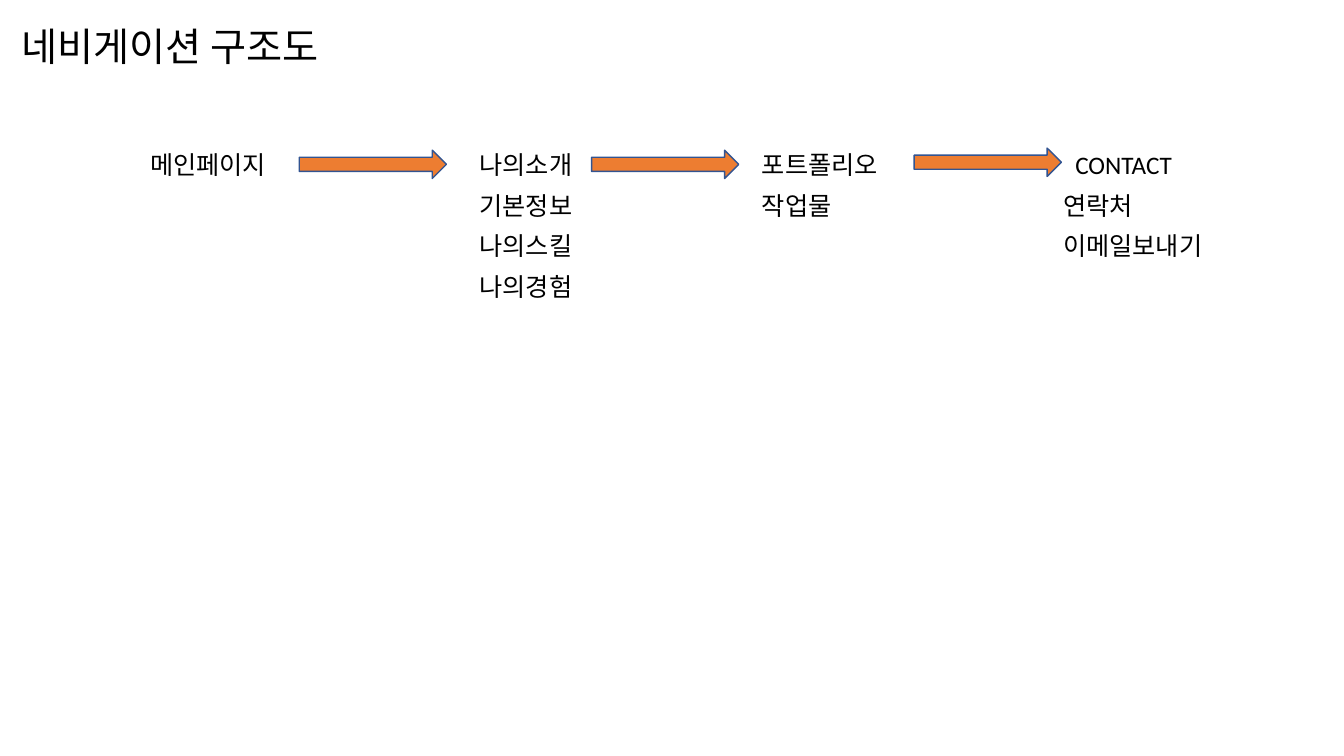
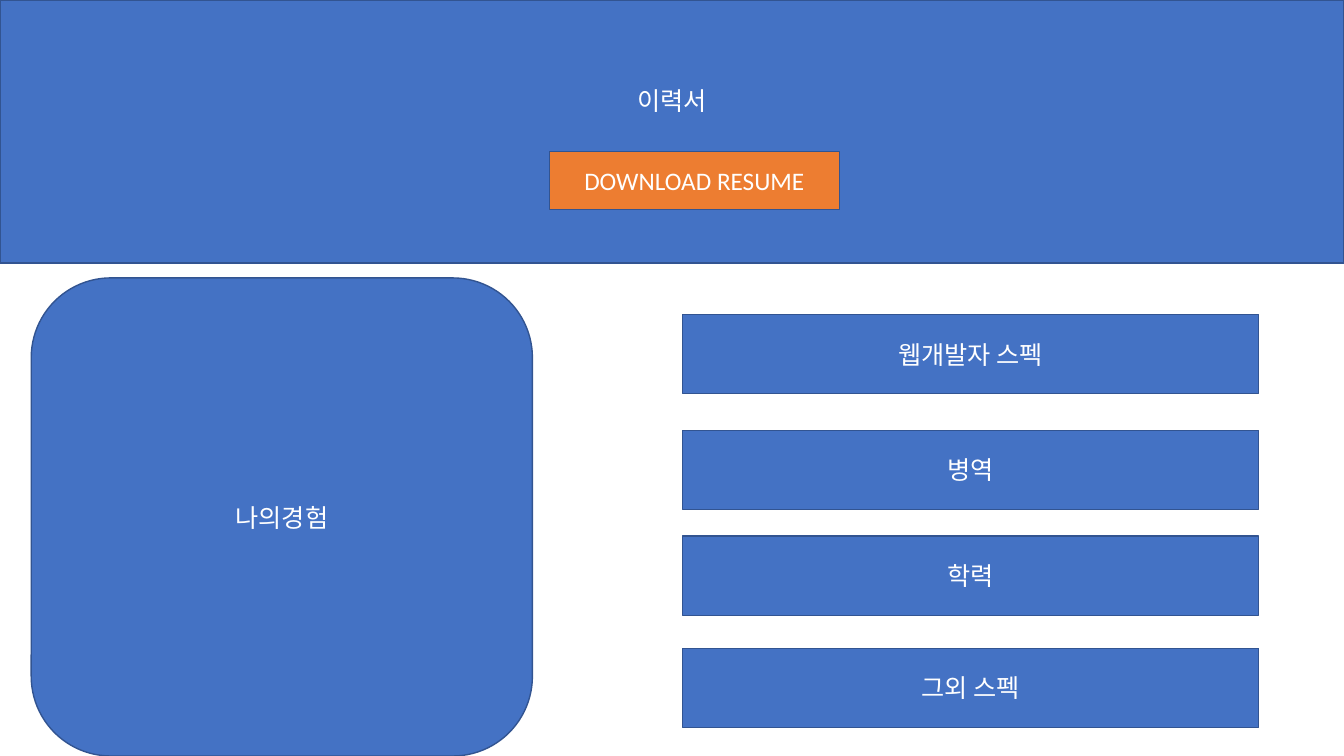
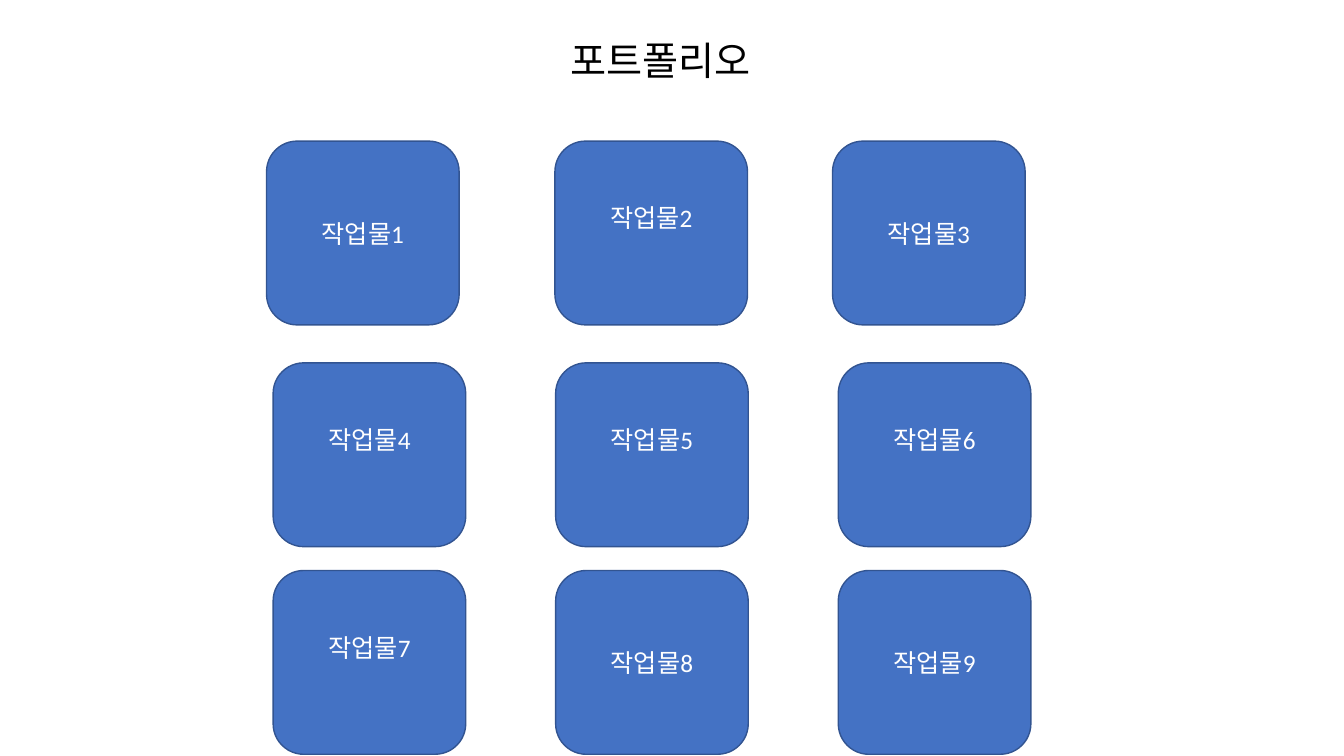
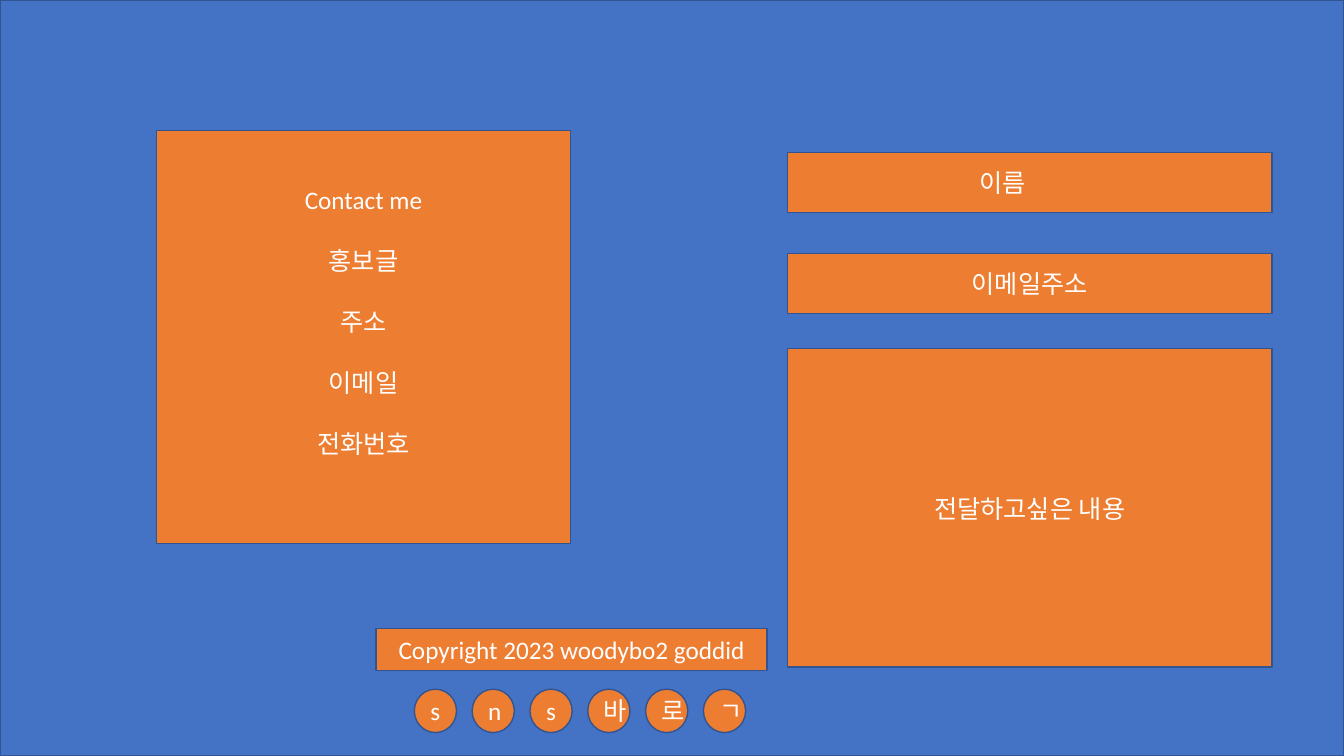
from dataclasses import dataclass

from pptx import Presentation
from pptx.dml.color import RGBColor
from pptx.enum.shapes import MSO_SHAPE as Preset
from pptx.enum.text import MSO_ANCHOR as Anchor
from pptx.enum.text import MSO_AUTO_SIZE as AutoSize
from pptx.enum.text import PP_ALIGN as Align
from pptx.util import Pt


@dataclass(frozen=True)
class Theme:
    """Colours, font and sizes shared by all slides."""

    blue: RGBColor = RGBColor(0x44, 0x72, 0xC4)
    orange: RGBColor = RGBColor(0xED, 0x7D, 0x31)
    outline: RGBColor = RGBColor(0x32, 0x54, 0x91)
    white: RGBColor = RGBColor(0xFF, 0xFF, 0xFF)
    black: RGBColor = RGBColor(0, 0, 0)
    font: str = "Calibri"
    title_size: float = 28
    body_size: float = 18
    body_line: float = 22
    outline_width: float = 1
    inset: float = 3.6


THEME = Theme()
WIDTH, HEIGHT = 960, 540
ONE_LINE = THEME.inset + THEME.body_line
TWO_LINES = THEME.inset + 2 * THEME.body_line


def apply_format(target, values):
    """Set each attribute of target from a dict of format values."""
    for attribute, value in values.items():
        setattr(target, attribute, value)


def write(frame, text, size, color, align, gap=0):
    """Write one paragraph per line of text, with a gap between them."""
    for index, line in enumerate(text.split("\n")):
        paragraph = frame.paragraphs[0] if index == 0 else frame.add_paragraph()
        paragraph.alignment = align
        paragraph.space_before = Pt(gap if index else 0)
        run = paragraph.add_run()
        run.text = line
        apply_format(run.font, {"name": THEME.font, "size": Pt(size)})
        run.font.color.rgb = color


def add_label(slide, box, text, size=THEME.body_size, align=Align.LEFT):
    """Add black text without a background."""
    frame = slide.shapes.add_textbox(*map(Pt, box)).text_frame
    apply_format(frame, {"word_wrap": True, "auto_size": AutoSize.SHAPE_TO_FIT_TEXT})
    write(frame, text, size, THEME.black, align)


def add_block(slide, box, fill, text="", preset=Preset.RECTANGLE, gap=0, **margins):
    """Add an outlined shape with centred white text; margins are in points."""
    block = slide.shapes.add_shape(preset, *map(Pt, box))
    block.shadow.inherit = False
    block.fill.solid()
    block.fill.fore_color.rgb = fill
    block.line.color.rgb = THEME.outline
    block.line.width = Pt(THEME.outline_width)
    if text:
        frame = block.text_frame
        apply_format(frame, {"word_wrap": True, "vertical_anchor": Anchor.MIDDLE})
        apply_format(frame, {f"margin_{side}": Pt(size) for side, size in margins.items()})
        write(frame, text, THEME.body_size, THEME.white, Align.CENTER, gap)


def build_navigation(slide):
    """Show the pages of the site and the order between them."""
    first_top, pitch, label_width = 103.1, 29.05, 105.1
    add_label(slide, (8.6, 12.2, 262, 41), "네비게이션 구조도", THEME.title_size)
    pages = (
        (100.1, 0, ("메인페이지",)),
        (335.5, 0, ("나의소개", "기본정보", "나의스킬", "나의경험")),
        (537.1, 0, ("포트폴리오", "작업물")),
        (761, 0, ("CONTACT",)),
        (752.4, 1, ("연락처", "이메일보내기")),
    )
    for left, first_row, labels in pages:
        for row, label in enumerate(labels, first_row):
            width = 129.6 if label == "이메일보내기" else label_width
            add_label(slide, (left, first_top + row * pitch, width, 29), label)
    for left, top in ((213.8, 107.3), (422.6, 107.3), (653, 105.8)):
        add_block(slide, (left, top, 105.1, 20.2), THEME.orange, preset=Preset.RIGHT_ARROW)


def build_resume(slide):
    """Show the resume header, experience panel and list of qualifications."""
    add_block(slide, (0, 0, WIDTH, 188), THEME.blue, "이력서", bottom=TWO_LINES)
    add_block(slide, (392.4, 108, 207.2, 41.8), THEME.orange, "DOWNLOAD RESUME")
    add_block(slide, (22.3, 198.5, 358, 341.5), THEME.blue, "나의경험",
              Preset.ROUNDED_RECTANGLE)
    qualifications = ((224.6, "웹개발자 스펙"), (307.4, "병역"),
                      (383, "학력"), (463, "그외 스펙"))
    for top, label in qualifications:
        add_block(slide, (487.4, top, 411.8, 56.5), THEME.blue, label)


def build_portfolio(slide):
    """Show nine numbered works in three rows."""
    add_label(slide, (280.1, 22.3, 383, 41), "포트폴리오", THEME.title_size, Align.CENTER)
    raised = {2, 4, 5, 6, 7}
    lower_lefts = (195.1, 396.9, 598.8)
    rows = ((100.8, (190.4, 396.4, 594.7)), (259.2, lower_lefts), (407.5, lower_lefts))
    for row, (top, lefts) in enumerate(rows):
        for number, left in enumerate(lefts, 3 * row + 1):
            bottom = ONE_LINE if number in raised else THEME.inset
            add_block(slide, (left, top, 137.6, 131.3), THEME.blue, f"작업물{number}",
                      Preset.ROUNDED_RECTANGLE, bottom=bottom)


def build_contact(slide):
    """Show contact details, the message form and the footer."""
    add_block(slide, (0, 0, WIDTH, HEIGHT), THEME.blue)
    add_block(slide, (111.8, 93.3, 295.7, 294.8), THEME.orange,
              "Contact me\n홍보글\n주소\n이메일\n전화번호",
              gap=THEME.body_line, bottom=ONE_LINE)
    fields = ((109, 42.7, "이름", 46.4), (181.1, 42.7, "이메일주소", 7.2),
              (249.1, 227.5, "전달하고싶은 내용", 7.2))
    for top, height, label, right in fields:
        add_block(slide, (562.5, top, 346.1, height), THEME.orange, label, right=right)
    for index, letter in enumerate("sns바로ㄱ"):
        add_block(slide, (295.9 + index * 41.3, 492.3, 30.2, 31), THEME.orange, letter,
                  Preset.OVAL)
    add_block(slide, (268.6, 449.1, 279.4, 30), THEME.orange,
              "Copyright 2023 woodybo2 goddid")


def main():
    """Build and save the presentation."""
    deck = Presentation()
    apply_format(deck, {"slide_width": Pt(WIDTH), "slide_height": Pt(HEIGHT)})
    blank = deck.slide_layouts[6]
    for build in (build_navigation, build_resume, build_portfolio, build_contact):
        build(deck.slides.add_slide(blank))
    deck.save("out.pptx")


main()
